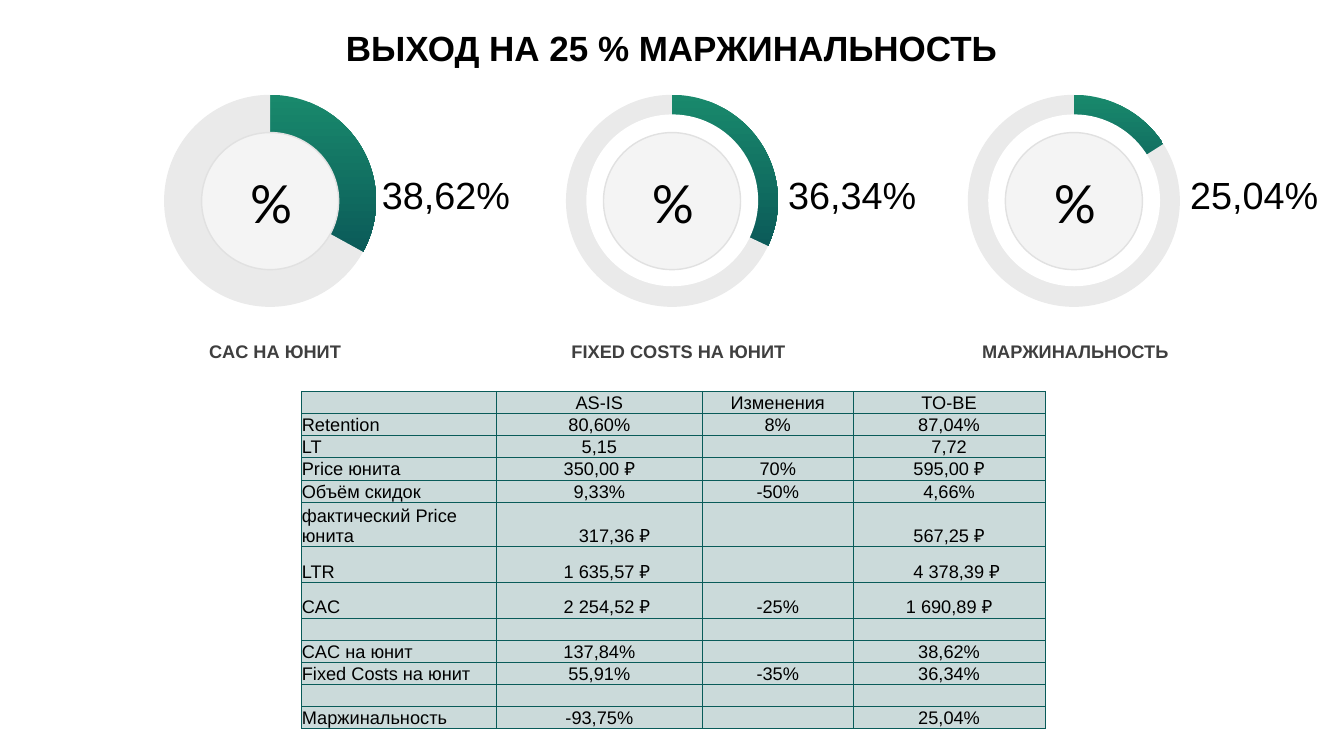
import pptx
import pptx.util
import pptx.chart.data
import pptx.dml.color
import pptx.enum.chart
import pptx.enum.shapes
import pptx.enum.text
import pptx.oxml
from pptx.util import Inches, Pt

ALIGN = pptx.enum.text.PP_ALIGN
ANCHOR = pptx.enum.text.MSO_ANCHOR

TITLE = "ВЫХОД НА 25 % МАРЖИНАЛЬНОСТЬ"
# share of the ring, white gap, value, value left, caption, caption left, caption width
RINGS = [
    (33, False, "38,62%", 7.4, "CAC НА ЮНИТ", 3.93, 2.9),
    (32, True, "36,34%", 15.46, "FIXED COSTS НА ЮНИТ", 11.01, 4.64),
    (16, True, "25,04%", 23.44, "МАРЖИНАЛЬНОСТЬ", 19.42, 3.83),
]
ROWS = [
    ("", "AS-IS", "Изменения", "TO-BE"),
    ("Retention", "80,60%", "8%", "87,04%"),
    ("LT", "5,15", "", "7,72"),
    ("Price юнита", "350,00 ₽", "70%", "595,00 ₽"),
    ("Объём скидок", "9,33%", "-50%", "4,66%"),
    ("фактический Price юнита", "317,36 ₽", "", "567,25 ₽"),
    ("LTR", "1 635,57 ₽", "", "4 378,39 ₽"),
    ("CAC", "2 254,52 ₽", "-25%", "1 690,89 ₽"),
    ("", "", "", ""),
    ("CAC на юнит", "137,84%", "", "38,62%"),
    ("Fixed Costs на юнит", "55,91%", "-35%", "36,34%"),
    ("", "", "", ""),
    ("Маржинальность", "-93,75%", "", "25,04%"),
]
COL_WIDTHS = [3.87, 4.09, 2.99, 3.81]
ROW_HEIGHT = 0.44
TALL_ROWS = {5: 0.88, 6: 0.71, 7: 0.71}
INDENTS = {(5, 1): 0.6, (6, 1): 0.3, (6, 3): 0.3, (7, 1): 0.3}

RING_LEFT, RING_STEP, RING_TOP, RING_SIZE = 3.23, 7.975, 1.86, 4.26


def rgb(color):
    return pptx.dml.color.RGBColor.from_string(color)


def write(tf, text, size, font="Arial", color="000000", bold=False,
          align=ALIGN.CENTER, anchor=ANCHOR.MIDDLE, inset=0.06, wrap=True):
    tf.word_wrap = wrap
    tf.auto_size = pptx.enum.text.MSO_AUTO_SIZE.NONE
    tf.vertical_anchor = anchor
    tf.margin_left = tf.margin_right = Inches(inset)
    tf.margin_top = tf.margin_bottom = Inches(min(inset, 0.06))
    write_paragraph(tf.paragraphs[0], text, size, font, color, bold, align)


def write_paragraph(p, text, size, font="Arial", color="000000", bold=False,
                    align=ALIGN.CENTER):
    p.alignment = align
    r = p.add_run()
    r.text = text
    r.font.size, r.font.name, r.font.bold = Pt(size), font, bold
    r.font.color.rgb = rgb(color)


def add_text(s, box, text, size, **fmt):
    sp = s.shapes.add_textbox(*map(Inches, box))
    write(sp.text_frame, text, size, **fmt)


def add_circle(s, left, top, size, fill, line=None):
    sp = s.shapes.add_shape(pptx.enum.shapes.MSO_SHAPE.OVAL,
                            *map(Inches, (left, top, size, size)))
    sp.shadow.inherit = False
    sp.fill.solid()
    sp.fill.fore_color.rgb = rgb(fill)
    if line:
        sp.line.color.rgb = rgb(line)
        sp.line.width = Pt(2)
    else:
        sp.line.fill.background()


def add_pie(s, left, share):
    data = pptx.chart.data.CategoryChartData()
    data.categories = ["1", "2"]
    data.add_series("Series 1", (share, 100 - share))
    chart = s.shapes.add_chart(
        pptx.enum.chart.XL_CHART_TYPE.PIE,
        *map(Inches, (left, RING_TOP, RING_SIZE, RING_SIZE)), data).chart
    chart.has_legend = chart.has_title = False
    chart.font.size, chart.font.name = Pt(10), "Arial"
    chart.font.color.rgb = rgb("000000")
    plot = chart.plots[0]
    plot.vary_by_categories = False
    points = plot.series[0].points
    fill = points[0].format.fill
    fill.gradient()
    fill.gradient_angle = 270
    for stop, color in zip(fill.gradient_stops, ("19896C", "0B5B59")):
        stop.color.rgb = rgb(color)
    points[1].format.fill.solid()
    points[1].format.fill.fore_color.rgb = rgb("EAEAEA")
    for i in range(2):
        points[i].format.line.fill.background()
    set_plot_area(chart)


def set_plot_area(chart):
    """Stretch the plot over nearly the whole chart frame."""
    area = chart.plots._plotArea
    for old in area.findall(pptx.oxml.ns.qn("c:layout")):
        area.remove(old)
    sizes = "".join(f'<c:{k} val="{v}"/>' for k, v in
                    (("x", 0.005), ("y", 0.005), ("w", 0.99), ("h", 0.988)))
    area.insert(0, pptx.oxml.parse_xml(
        f'<c:layout {pptx.oxml.ns.nsdecls("c")}><c:manualLayout>'
        '<c:layoutTarget val="inner"/><c:xMode val="edge"/><c:yMode val="edge"/>'
        f'{sizes}</c:manualLayout></c:layout>'))


def add_borders(cell):
    tcPr = cell._tc.get_or_add_tcPr()
    for i, side in enumerate(("lnL", "lnR", "lnT", "lnB")):
        tcPr.insert(i, pptx.oxml.parse_xml(
            f'<a:{side} {pptx.oxml.ns.nsdecls("a")} w="{Pt(0.75)}"><a:solidFill>'
            f'<a:srgbClr val="095B59"/></a:solidFill></a:{side}>'))


def add_unit_table(s):
    heights = [TALL_ROWS.get(i, ROW_HEIGHT) for i in range(len(ROWS))]
    box = (5.98, 7.76, sum(COL_WIDTHS), sum(heights))
    table = s.shapes.add_table(len(ROWS), len(COL_WIDTHS), *map(Inches, box)).table
    for column, width in zip(table.columns, COL_WIDTHS):
        column.width = Inches(width)
    for i, (row, height) in enumerate(zip(table.rows, heights)):
        row.height = Inches(height)
        for j, text in enumerate(ROWS[i]):
            cell = row.cells[j]
            cell.fill.solid()
            cell.fill.fore_color.rgb = rgb("CBDADA")
            cell.vertical_anchor = ANCHOR.BOTTOM
            cell.margin_left = Inches(0.01 + INDENTS.get((i, j), 0))
            cell.margin_right = cell.margin_top = Inches(0.01)
            cell.margin_bottom = 0
            if text:
                write_paragraph(cell.text_frame.paragraphs[0], text, 26,
                                align=ALIGN.CENTER if j else ALIGN.LEFT)
            add_borders(cell)


def main():
    prs = pptx.Presentation()
    prs.slide_width, prs.slide_height = Inches(26.67), Inches(15)
    s = prs.slides.add_slide(prs.slide_layouts[5])

    title = s.shapes.title
    title.left, title.top, title.width, title.height = map(
        Inches, (6.35, 0.46, 13.96, 0.95))
    write(title.text_frame, TITLE, 50, bold=True)

    for i, (share, gap, value, value_left, caption, cap_left, cap_width) in enumerate(RINGS):
        left = RING_LEFT + i * RING_STEP
        add_pie(s, left, share)
        if gap:
            add_circle(s, left + 0.43, 2.27, 3.41, "FFFFFF")
        add_circle(s, left + 0.77, 2.63, 2.72, "F4F4F4", line="E1E1E1")
        add_text(s, (left + 1.72, 3.34, 0.86, 1.37), "%", 75, font="Lato", wrap=False)
        add_text(s, (value_left, 3.34, 2.9, 1.01), value, 54,
                 anchor=ANCHOR.TOP, inset=0.1)
        add_text(s, (cap_left, 6.69, cap_width, 0.55), caption, 26,
                 color="3F3F3F", bold=True, align=ALIGN.RIGHT)

    add_unit_table(s)
    prs.save("out.pptx")


if __name__ == "__main__":
    main()
